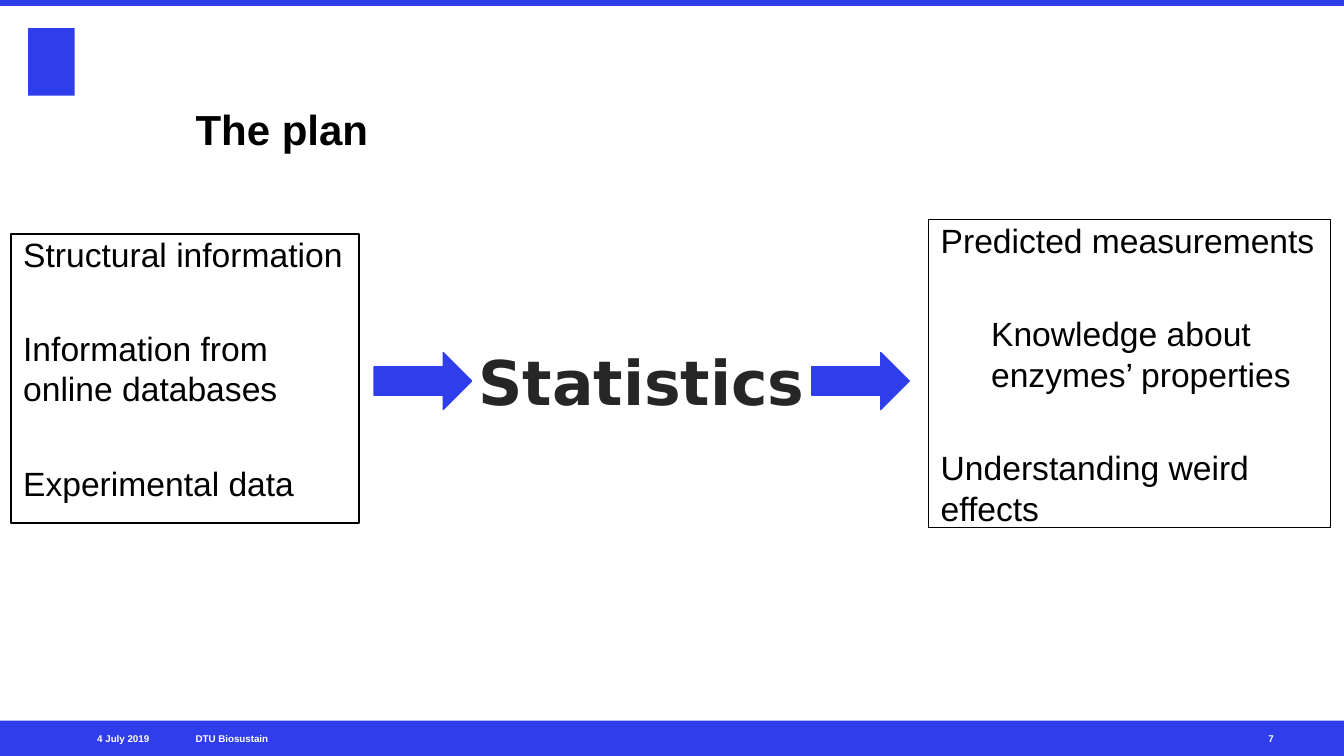
from pptx import Presentation
from pptx.dml.color import RGBColor
from pptx.enum.shapes import MSO_SHAPE
from pptx.enum.text import MSO_ANCHOR, PP_ALIGN
from pptx.util import Inches, Pt

RECTANGLE = MSO_SHAPE.RECTANGLE
RIGHT_ARROW = MSO_SHAPE.RIGHT_ARROW
TOP, MIDDLE, BOTTOM = MSO_ANCHOR.TOP, MSO_ANCHOR.MIDDLE, MSO_ANCHOR.BOTTOM
LEFT, CENTER, RIGHT = PP_ALIGN.LEFT, PP_ALIGN.CENTER, PP_ALIGN.RIGHT
BLUE, BLACK, WHITE, CHARCOAL = "2F3EEA", "000000", "FFFFFF", "262626"
SLIDE_WIDTH, SLIDE_HEIGHT = 13.33, 7.5


def color(hex_value):
    return RGBColor.from_string(hex_value)


def add_block(slide, box, kind=RECTANGLE, fill=None, line=None, line_width=0.75):
    block = slide.shapes.add_shape(kind, *map(Inches, box))
    block.shadow.inherit = False
    if fill:
        block.fill.solid()
        block.fill.fore_color.rgb = color(fill)
    else:
        block.fill.background()
    if line:
        block.line.color.rgb = color(line)
        block.line.width = Pt(line_width)
    else:
        block.line.fill.background()
    return block


def write(frame, text, size=24, font="Arial", ink=BLACK, bold=False,
          align=LEFT, anchor=TOP, inset=0, gap=0, indents=()):
    frame.word_wrap = True
    frame.vertical_anchor = anchor
    frame.margin_left = Inches(inset)
    frame.margin_right = frame.margin_top = frame.margin_bottom = 0
    for index, wording in enumerate(text.split("\n")):
        paragraph = frame.add_paragraph() if index else frame.paragraphs[0]
        paragraph.alignment = align
        if index:
            paragraph.space_before = Pt(gap)
        if index in indents:
            paragraph._p.get_or_add_pPr().set("marL", str(Inches(0.5)))
        run = paragraph.add_run()
        run.text = wording
        run.font.size = Pt(size)
        run.font.name = font
        run.font.bold = bold
        run.font.color.rgb = color(ink)


def add_label(slide, box, text, **style):
    label = slide.shapes.add_textbox(*map(Inches, box))
    write(label.text_frame, text, **style)


def add_header(slide, box):
    left, top, width, height = box
    add_block(slide, (left, top, width, 0.06), fill=BLUE)
    add_block(slide, (left + 0.28, top + 0.28, 0.46, 0.67), fill=BLUE)
    add_label(slide, (left + 1.94, top + 0.47, 10.18, height - 0.47), "The plan",
              size=30, bold=True, anchor=BOTTOM)


def add_footer(slide, box):
    left, top, width, height = box
    add_block(slide, box, fill=BLUE)
    for offset, label_width, text, align in (
        (0.27, 1.21, "4 July 2019", RIGHT),
        (1.94, 3.72, "DTU Biosustain", LEFT),
        (12.58, 0.47, "7", LEFT),
    ):
        add_label(slide, (left + offset, top, label_width, height), text,
                  size=7, ink=WHITE, bold=True, align=align, anchor=MIDDLE)


def add_list_box(slide, box, text, line_width, **style):
    list_box = add_block(slide, box, line=BLACK, line_width=line_width)
    write(list_box.text_frame, text, inset=0.12, **style)


def add_method(slide, box):
    left, top, width, height = box
    arrow_width, arrow_height = 0.97, 0.57
    arrow_top = top + (height - arrow_height) / 2
    add_label(slide, box, "Statistics", size=44, font="DejaVu Sans",
              ink=CHARCOAL, bold=True, align=CENTER, anchor=MIDDLE)
    for arrow_left in (left, left + width - arrow_width):
        add_block(slide, (arrow_left, arrow_top, arrow_width, arrow_height),
                  kind=RIGHT_ARROW, fill=BLUE, line=BLUE)


def main():
    presentation = Presentation()
    presentation.slide_width = Inches(SLIDE_WIDTH)
    presentation.slide_height = Inches(SLIDE_HEIGHT)
    slide = presentation.slides.add_slide(presentation.slide_layouts[6])
    add_header(slide, (0, 0, SLIDE_WIDTH, 1.53))
    add_footer(slide, (0, 7.15, SLIDE_WIDTH, 0.35))
    add_list_box(slide, (0.11, 2.32, 3.45, 2.87),
                 "Structural information\n"
                 "Information from online databases\n"
                 "Experimental data",
                 line_width=1.5, gap=38.5)
    add_method(slide, (3.71, 3.36, 5.31, 0.84))
    add_list_box(slide, (9.21, 2.18, 3.99, 3.05),
                 "Predicted measurements\n"
                 "Knowledge about enzymes’ properties\n"
                 "Understanding weird effects",
                 line_width=0.75, gap=38, indents=(1,))
    presentation.save("out.pptx")


if __name__ == "__main__":
    main()
